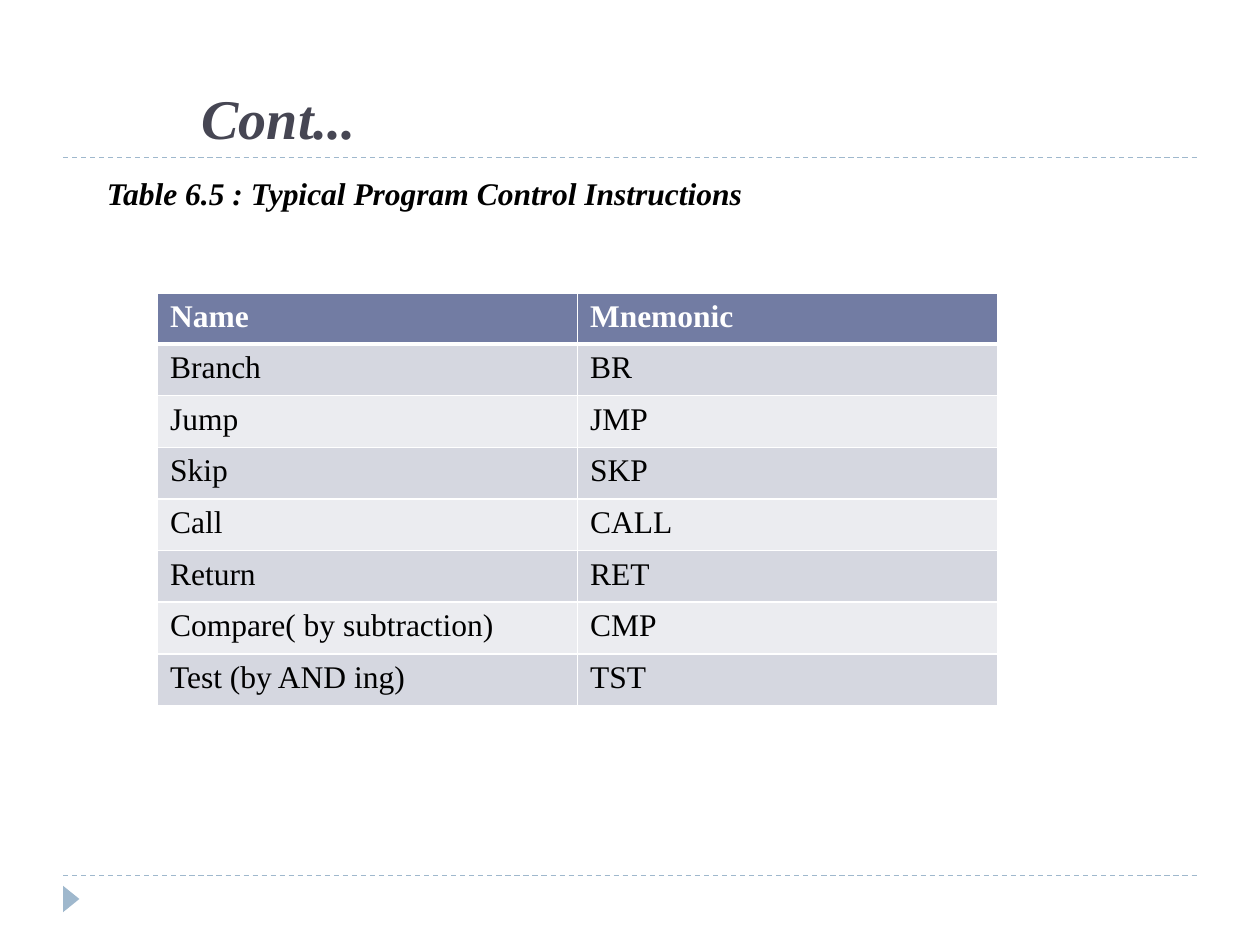
from dataclasses import dataclass

from pptx import Presentation
from pptx.dml.color import RGBColor
from pptx.enum.dml import MSO_LINE
from pptx.enum.shapes import MSO_CONNECTOR, MSO_SHAPE
from pptx.enum.text import MSO_ANCHOR, MSO_AUTO_SIZE, PP_ALIGN
from pptx.oxml.ns import qn
from pptx.util import Inches, Pt
from lxml.etree import SubElement


@dataclass(frozen=True)
class Theme:
    font: str = "Times New Roman"
    title_size: int = 32
    text_size: int = 18
    title: str = "464653"
    text: str = "000000"
    white: str = "FFFFFF"
    accent: str = "9FB8CD"
    header: str = "727CA3"
    bands: tuple = ("D5D7E0", "EBECF0")


theme = Theme()


def add_styled_run(paragraph, wording, size, color, bold=False, italic=False):
    run = paragraph.add_run()
    run.text = wording
    run.font.name = theme.font
    run.font.size = Pt(size)
    run.font.bold = bold
    run.font.italic = italic
    run.font.color.rgb = RGBColor.from_string(color)


def set_cell_borders(cell, widths):
    """Draw white borders; widths maps lnL, lnR, lnT, lnB to points."""
    properties = cell._tc.get_or_add_tcPr()
    for position, (side, width) in enumerate(widths.items()):
        border = properties.makeelement(qn(f"a:{side}"), {"w": str(Pt(width))})
        fill = SubElement(border, qn("a:solidFill"))
        SubElement(fill, qn("a:srgbClr"), val=theme.white)
        properties.insert(position, border)


presentation = Presentation()
presentation.slide_width = Inches(10)
presentation.slide_height = Inches(7.5)
slide = presentation.slides.add_slide(presentation.slide_layouts[5])

# Page frame: a 20-column grid with one column as side margin
column = presentation.slide_width // 20
content_width = 18 * column
title_rule = Inches(1.25)
footer_rule = Inches(6.95)

for rule_y in (footer_rule, title_rule):
    rule = slide.shapes.add_connector(
        MSO_CONNECTOR.STRAIGHT, column, rule_y, column + content_width, rule_y)
    rule.line.color.rgb = RGBColor.from_string(theme.accent)
    rule.line.width = Pt(0.75)
    rule.line.dash_style = MSO_LINE.DASH
    SubElement(rule._element.spPr, qn("a:effectLst"))

page_marker = slide.shapes.add_shape(
    MSO_SHAPE.ISOSCELES_TRIANGLE, Inches(0.46), Inches(7.07), Inches(0.21), Inches(0.13))
page_marker.rotation = 90
page_marker.shadow.inherit = False
page_marker.fill.solid()
page_marker.fill.fore_color.rgb = RGBColor.from_string(theme.accent)
page_marker.line.fill.background()

# Title
title = slide.shapes.title
title.left, title.top = column, Inches(0.17)
title.width, title.height = content_width, title_rule - Inches(0.17)
title.text_frame.vertical_anchor = MSO_ANCHOR.BOTTOM
title.text_frame.auto_size = MSO_AUTO_SIZE.NONE
heading = title.text_frame.paragraphs[0]
heading.alignment = PP_ALIGN.LEFT
heading._p.get_or_add_pPr().set("marL", str(2 * column))
add_styled_run(heading, "Cont...", theme.title_size, theme.title, bold=True, italic=True)

# Caption
caption = slide.shapes.add_textbox(column, Inches(1.33), content_width, Inches(5.4))
caption.text_frame.word_wrap = True
caption_line = caption.text_frame.paragraphs[0]
caption_line.space_before = Pt(6)
caption_line._p.get_or_add_pPr().set("marL", str(column // 2))
add_styled_run(caption_line, "Table 6.5 : Typical Program Control Instructions",
               theme.text_size, theme.text, bold=True, italic=True)

# Instruction table
instructions = [
    ("Name", "Mnemonic"),
    ("Branch", "BR"),
    ("Jump", "JMP"),
    ("Skip", "SKP"),
    ("Call", "CALL"),
    ("Return", "RET"),
    ("Compare( by subtraction)", "CMP"),
    ("Test (by AND ing)", "TST"),
]
header_height, row_height = Inches(0.37), Inches(0.41)
table = slide.shapes.add_table(
    len(instructions), 2, Inches(1.25), Inches(2.33), presentation.slide_width * 2 // 3,
    header_height + (len(instructions) - 1) * row_height).table

for row, entries in enumerate(instructions):
    is_header = row == 0
    table.rows[row].height = header_height if is_header else row_height
    fill_color = theme.header if is_header else theme.bands[(row - 1) % 2]
    text_color = theme.white if is_header else theme.text
    for cell, entry in zip(table.rows[row].cells, entries):
        cell.fill.solid()
        cell.fill.fore_color.rgb = RGBColor.from_string(fill_color)
        set_cell_borders(cell, {"lnL": 1, "lnR": 1, "lnT": 3 if row == 1 else 1,
                                "lnB": 3 if is_header else 1})
        add_styled_run(cell.text_frame.paragraphs[0], entry,
                       theme.text_size, text_color, bold=is_header)

presentation.save("out.pptx")
